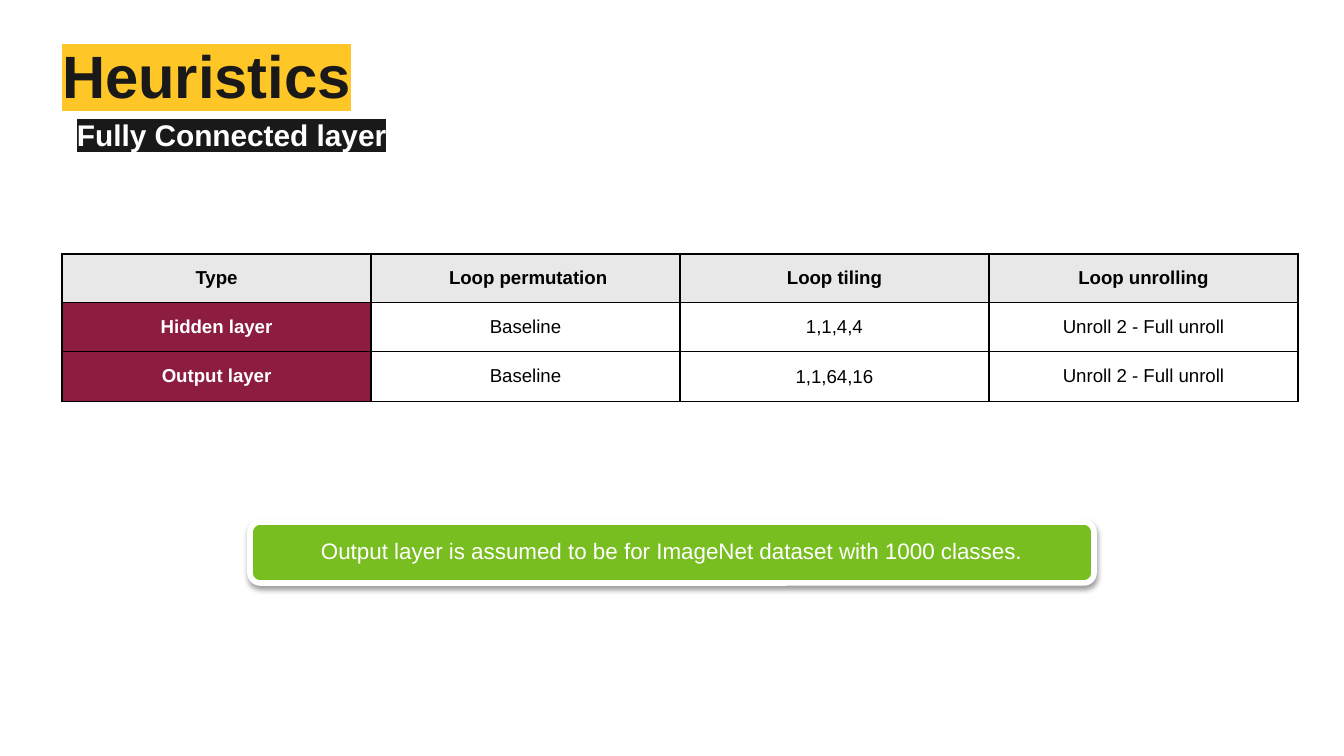
from lxml import etree
from pptx import Presentation
from pptx.dml.color import RGBColor
from pptx.enum.shapes import MSO_SHAPE
from pptx.enum.text import MSO_ANCHOR, PP_ALIGN
from pptx.oxml.ns import qn
from pptx.util import Emu, Pt

SCALE = 914400 / 134.4
LEFT, CENTER = PP_ALIGN.LEFT, PP_ALIGN.CENTER
MIDDLE = MSO_ANCHOR.MIDDLE
ROUNDED = MSO_SHAPE.ROUNDED_RECTANGLE
BLACK, WHITE, INK, GOLD = "000000", "FFFFFF", "191919", "FFC627"
MAROON, GREEN, GREY = "8C1D40", "78BE20", "E8E8E8"


def px(length):
    return Emu(round(length * SCALE))


def write(frame, text, size, color, bold=False, align=LEFT, spacing=1.0, highlight=None, indent=0):
    frame.word_wrap = True
    para = frame.paragraphs[0]
    para.alignment = align
    para.line_spacing = spacing
    if indent:
        properties = para._p.get_or_add_pPr()
        properties.set("marL", str(px(67)))
        properties.set("indent", str(px(indent - 67)))
    span = para.add_run()
    span.text = text
    span.font.size = Pt(size)
    span.font.bold = bold
    span.font.name = "Arial"
    span.font.color.rgb = RGBColor.from_string(color)
    if highlight:
        mark = etree.Element(qn("a:highlight"))
        etree.SubElement(mark, qn("a:srgbClr"), val=highlight)
        span.font.fill._xPr.find(qn("a:solidFill")).addnext(mark)


deck = Presentation()
deck.slide_width, deck.slide_height = px(1344), px(756)
page = deck.slides.add_slide(deck.slide_layouts[6])

headings = [
    (47, 1236, 65, "Heuristics", dict(size=32, color=INK, spacing=0.9, highlight=GOLD)),
    (111, 1232, 42, "Fully Connected layer",
     dict(size=16, color=WHITE, spacing=1.15, highlight=INK, indent=15)),
]
for top, width, height, text, style in headings:
    box = page.shapes.add_textbox(px(62), px(top), px(width), px(height))
    frame = box.text_frame
    frame.margin_left = frame.margin_right = frame.margin_top = frame.margin_bottom = 0
    write(frame, text, bold=True, **style)

rows = [
    ["Type", " Loop permutation", "Loop tiling", "Loop unrolling"],
    ["Hidden layer", "Baseline", "1,1,4,4", "Unroll 2 - Full unroll"],
    ["Output layer", "Baseline", "1,1,64,16", "Unroll 2 - Full unroll"],
]
row_heights = [47, 49, 50]
table = page.shapes.add_table(3, 4, px(62), px(254), px(1236), px(sum(row_heights))).table
for column in table.columns:
    column.width = px(309)
for row_index, values in enumerate(rows):
    table.rows[row_index].height = px(row_heights[row_index])
    for column_index, value in enumerate(values):
        cell = table.cell(row_index, column_index)
        header, label = row_index == 0, column_index == 0
        tight = column_index == 2 and not header
        cell.vertical_anchor = MIDDLE
        cell.margin_left = cell.margin_right = cell.margin_top = px(1 if tight else 13)
        cell.margin_bottom = px(0 if tight else 13)
        write(cell.text_frame, value, 10, WHITE if label and not header else BLACK,
              bold=header or label, align=CENTER)
        borders = cell._tc.get_or_add_tcPr()
        for side in ("a:lnL", "a:lnR", "a:lnT", "a:lnB"):
            border = etree.SubElement(borders, qn(side), w=str(Pt(1)))
            paint = etree.SubElement(border, qn("a:solidFill"))
            etree.SubElement(paint, qn("a:srgbClr"), val=BLACK)
        if header or label:
            cell.fill.solid()
            cell.fill.fore_color.rgb = RGBColor.from_string(GREY if header else MAROON)
        else:
            cell.fill.background()

note = page.shapes.add_shape(ROUNDED, px(250), px(522), px(844), px(61))
note.shadow.inherit = False
note.fill.solid()
note.fill.fore_color.rgb = RGBColor.from_string(GREEN)
note.line.color.rgb = RGBColor.from_string(WHITE)
note.line.width = Pt(3)
effects = note._element.spPr.find(qn("a:effectLst"))
shadow = etree.SubElement(effects, qn("a:outerShdw"), blurRad=str(Pt(3.1)), dist=str(Pt(1.6)),
                          dir="5400000", rotWithShape="0")
shade = etree.SubElement(shadow, qn("a:srgbClr"), val=BLACK)
etree.SubElement(shade, qn("a:alpha"), val="38000")
note.text_frame.vertical_anchor = MIDDLE
write(note.text_frame, "Output layer is assumed to be for ImageNet dataset with 1000 classes.",
      12, WHITE, align=CENTER, spacing=0.9)

deck.save("out.pptx")
